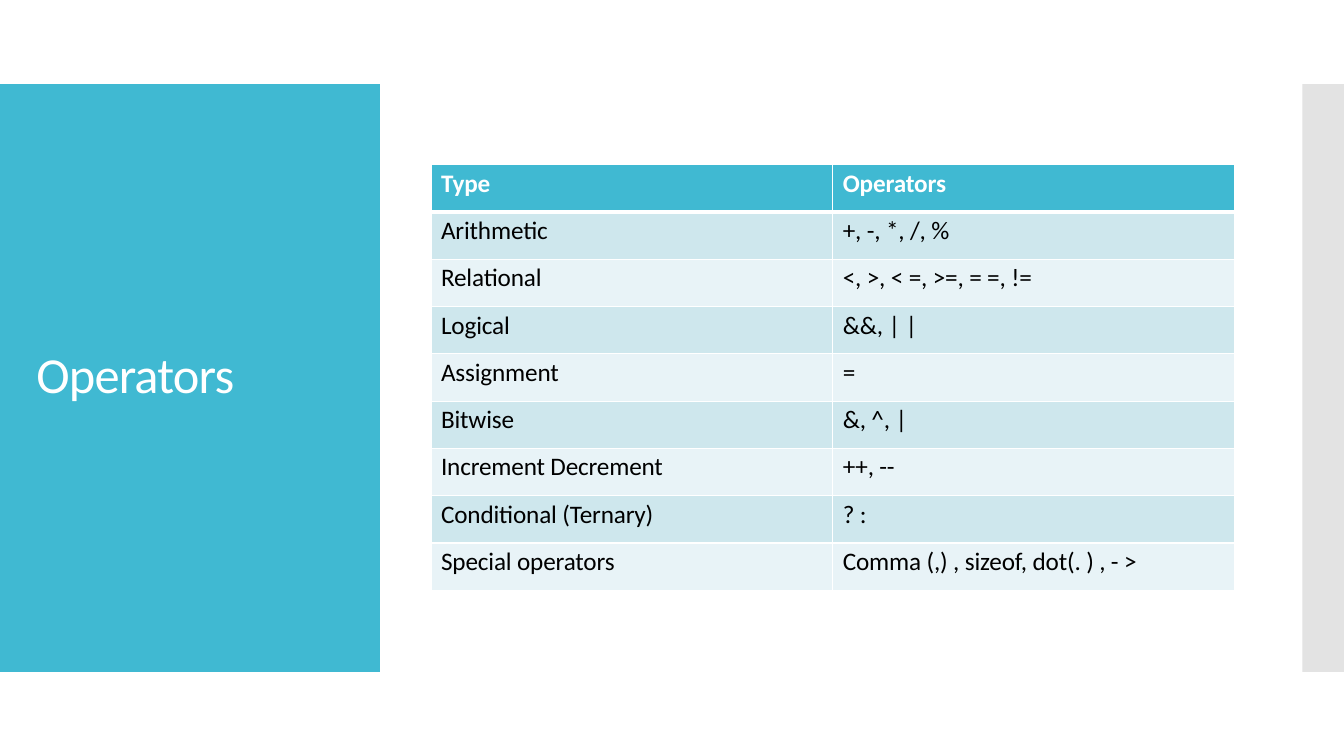
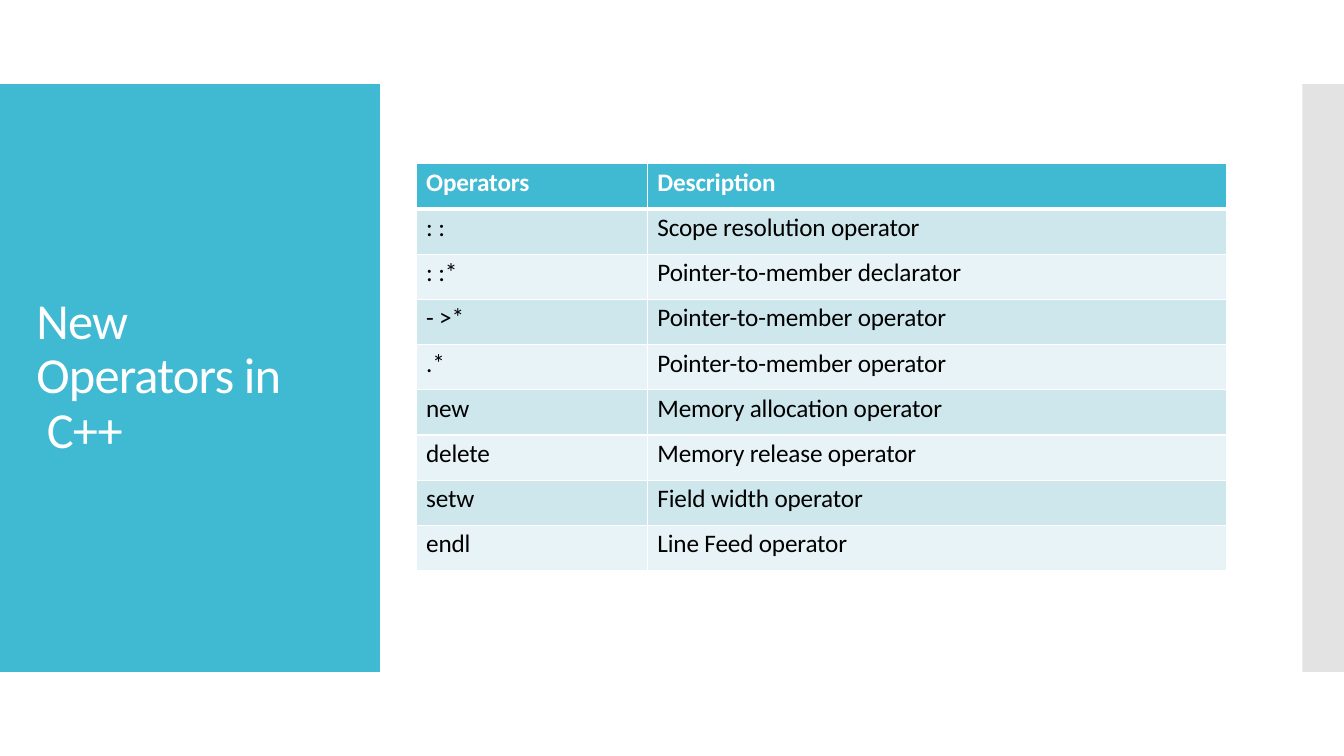
"""Build two slides that list C++ operators in tables."""
from lxml import etree
from pptx import Presentation
from pptx.dml.color import RGBColor
from pptx.enum.shapes import MSO_SHAPE
from pptx.enum.text import MSO_ANCHOR, MSO_AUTO_SIZE, PP_ALIGN
from pptx.oxml.ns import qn
from pptx.util import Pt

RECTANGLE = MSO_SHAPE.RECTANGLE
MIDDLE = MSO_ANCHOR.MIDDLE
NO_AUTOFIT = MSO_AUTO_SIZE.NONE
LEFT = PP_ALIGN.LEFT

FONT = "Calibri"
TEAL, GREY, WHITE, BLACK = "40B9D2", "E3E3E3", "FFFFFF", "000000"
ROW_FILLS = ["E8F3F7", "CEE7ED"]
TITLE_CENTER = 265

BANDS = [(0, 271.4, TEAL), (930.2, 29.8, GREY)]

SLIDES = [
    {
        "title": "Operators",
        "title_size": (148, 45),
        "table_at": (307.8, 117.6),
        "columns": (287, 287),
        "row_height": 33.8,
        "rows": [
            ("Type", "Operators"),
            ("Arithmetic", "+, -, *, /, %"),
            ("Relational", "<, >, < =, >=, = =, !="),
            ("Logical", "&&, | |"),
            ("Assignment", "="),
            ("Bitwise", "&, ^, |"),
            ("Increment Decrement", "++, --"),
            ("Conditional (Ternary)", "? :"),
            ("Special operators", "Comma (,) , sizeof, dot(. ) , - >"),
        ],
    },
    {
        "title": "New Operators in\v C++",
        "title_size": (181, 123),
        "table_at": (297.2, 117),
        "columns": (165.2, 413.6),
        "row_height": 32.3,
        "rows": [
            ("Operators", "Description"),
            (": :", "Scope resolution operator"),
            (": :*", "Pointer-to-member declarator"),
            ("- >*", "Pointer-to-member operator"),
            (".*", "Pointer-to-member operator"),
            ("new", "Memory allocation operator"),
            ("delete", "Memory release operator"),
            ("setw", "Field width operator"),
            ("endl", "Line Feed operator"),
        ],
    },
]


def color(value):
    return RGBColor.from_string(value)


def style_spans(para, size, text_color, bold, spacing):
    for span in para.runs:
        span.font.name = FONT
        span.font.size = Pt(size)
        span.font.bold = bold
        span.font.color.rgb = color(text_color)
        span.font._element.set("spc", str(spacing))


deck = Presentation()
deck.slide_width = Pt(960)
deck.slide_height = Pt(540)
layout = deck.slide_layouts[5]
pages = [deck.slides.add_slide(layout) for _ in SLIDES]

for number, (left, width, fill) in enumerate(BANDS):
    band = pages[0].shapes.add_shape(RECTANGLE, Pt(left), Pt(60), Pt(width), Pt(420))
    band.shadow.inherit = False
    band.fill.solid()
    band.fill.fore_color.rgb = color(fill)
    band.line.fill.background()
    band.element.nvSpPr.cNvPr.set("id", str(100 + number))
    layout.shapes.element.insert(2, band.element)

for page, content in zip(pages, SLIDES):
    title = page.shapes.title
    width, height = content["title_size"]
    title.left, title.top = Pt(26), Pt(TITLE_CENTER - height / 2)
    title.width, title.height = Pt(width), Pt(height)
    frame = title.text_frame
    frame.text = content["title"]
    frame.word_wrap = True
    frame.auto_size = NO_AUTOFIT
    frame.vertical_anchor = MIDDLE
    frame.margin_left = frame.margin_right = frame.margin_bottom = 0
    frame.margin_top = Pt(8)
    para = frame.paragraphs[0]
    para.alignment = LEFT
    para.line_spacing = Pt(38.9)
    style_spans(para, 36, WHITE, False, -60)

    rows, columns = content["rows"], content["columns"]
    left, top = content["table_at"]
    row_height = content["row_height"]
    table = page.shapes.add_table(
        len(rows), len(columns), Pt(left), Pt(top),
        Pt(sum(columns)), Pt(row_height * len(rows))).table
    for column, width in zip(table.columns, columns):
        column.width = Pt(width)
    for row_index, texts in enumerate(rows):
        table.rows[row_index].height = Pt(row_height)
        header = row_index == 0
        borders = {"lnL": 1, "lnR": 1,
                   "lnT": 3 if row_index == 1 else 1,
                   "lnB": 3 if header else 1}
        for column_index, text in enumerate(texts):
            cell = table.cell(row_index, column_index)
            cell.margin_left, cell.margin_top = Pt(7.2), Pt(2.5)
            cell.margin_right = cell.margin_bottom = 0
            properties = cell._tc.get_or_add_tcPr()
            for side, weight in borders.items():
                line = etree.SubElement(properties, qn("a:" + side), w=str(Pt(weight)))
                fill = etree.SubElement(line, qn("a:solidFill"))
                etree.SubElement(fill, qn("a:srgbClr"), val=WHITE)
            cell.fill.solid()
            cell.fill.fore_color.rgb = color(TEAL if header else ROW_FILLS[row_index % 2])
            cell.text_frame.text = text
            para = cell.text_frame.paragraphs[0]
            para.space_before = Pt(2.5)
            style_spans(para, 18, WHITE if header else BLACK, header, -10)

deck.save("out.pptx")
